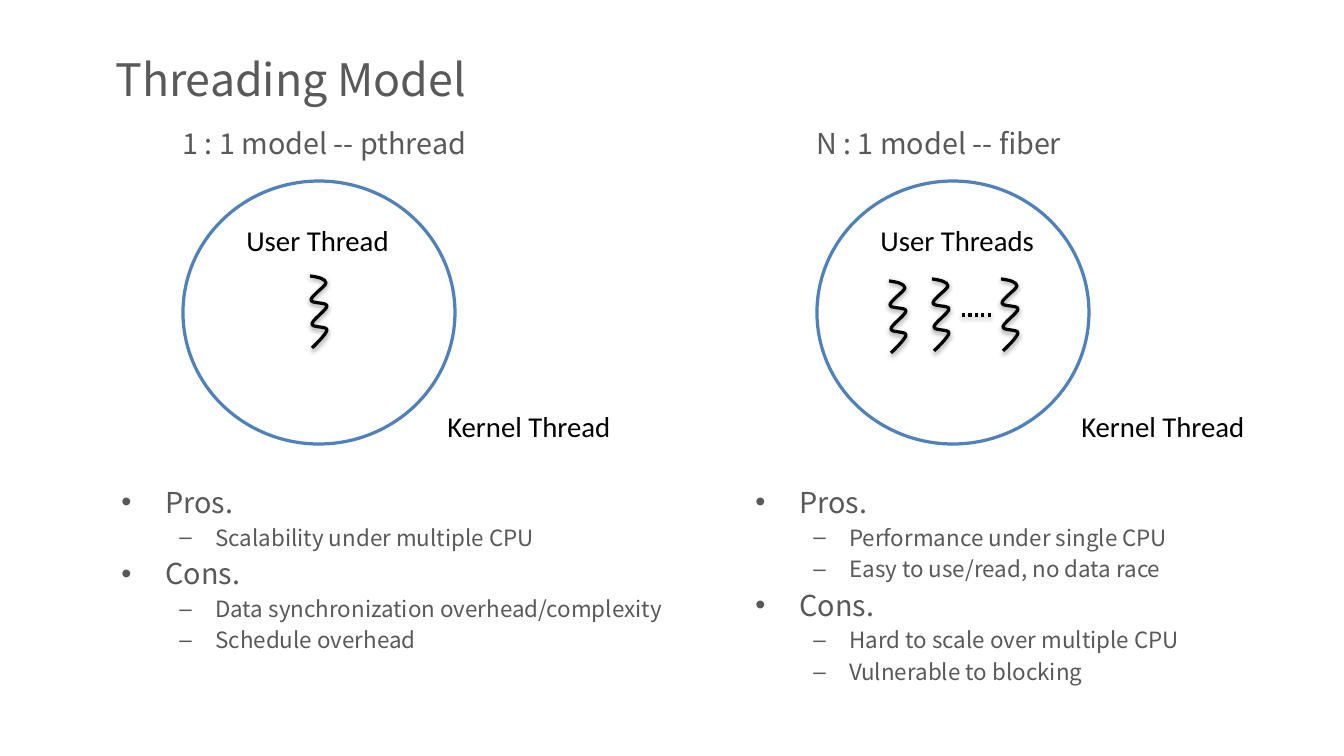
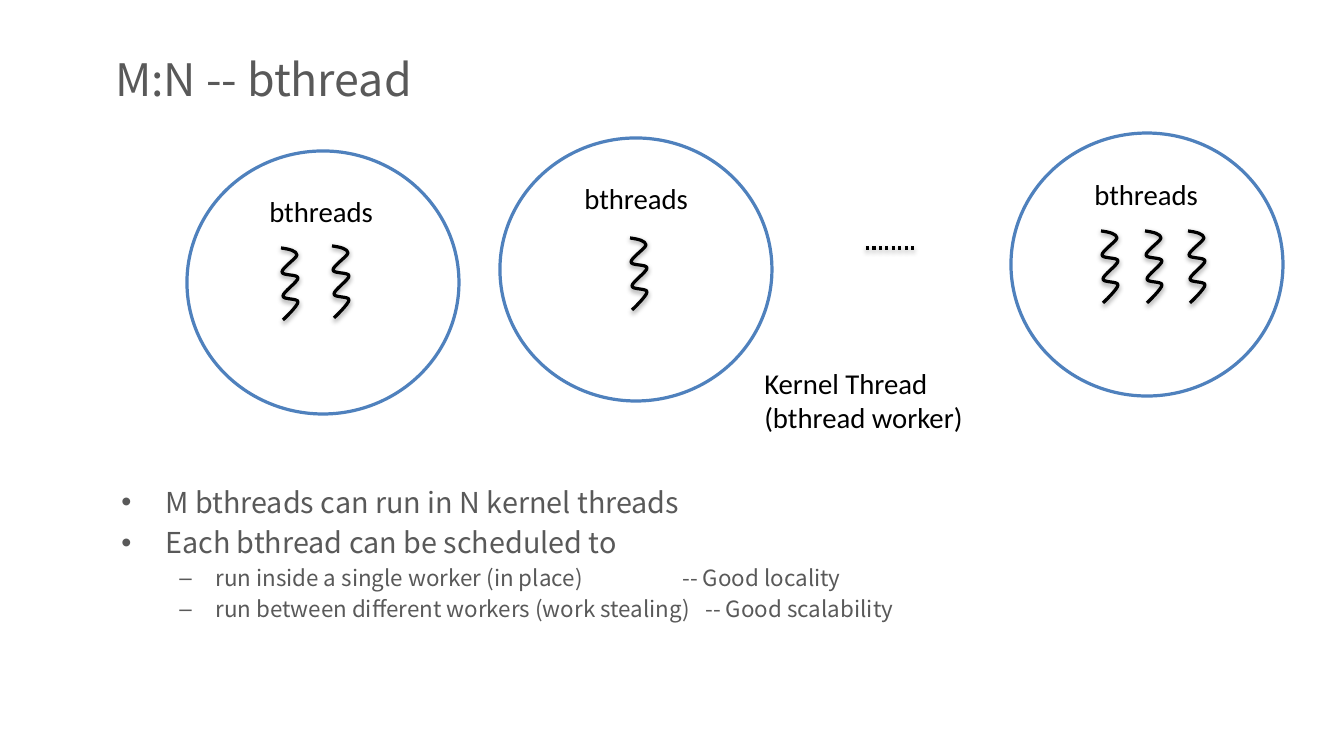
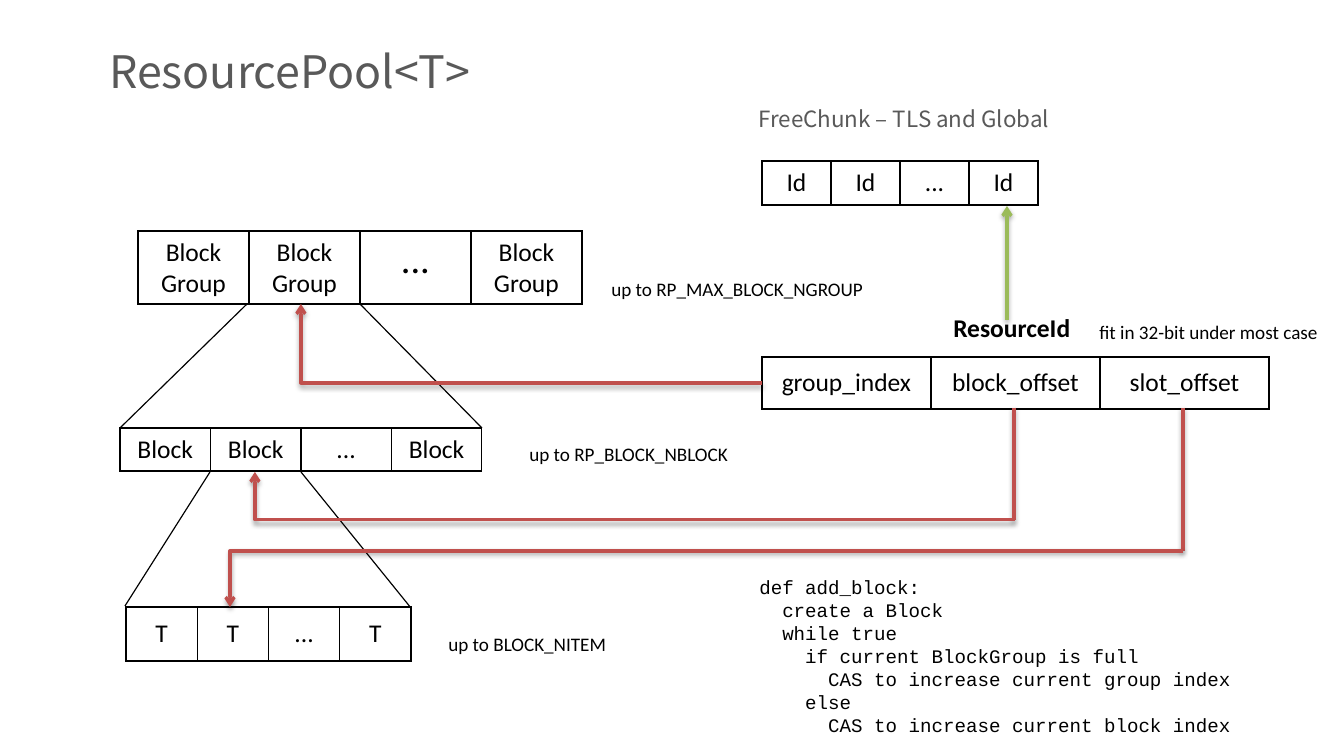
from dataclasses import dataclass
from typing import Any

from lxml.etree import SubElement as Sub
from pptx import Presentation
from pptx.dml.color import RGBColor as Rgb
from pptx.enum.dml import MSO_LINE as Dash
from pptx.enum.shapes import MSO_CONNECTOR as Link, MSO_SHAPE as Form
from pptx.enum.text import MSO_ANCHOR as Anchor, PP_ALIGN as Align
from pptx.oxml.ns import qn
from pptx.util import Pt

SCALE = 914400 / 115
WIDE, HIGH = 1344, 756

COLORS = {
    "ink": "000000", "gray": "595959", "paper": "FFFFFF",
    "blue": "4F81BD", "red": "C0504D", "green": "9BBB59",
}
SANS, PLAIN, MONO = "Noto Sans CJK SC", "Calibri", "Courier New"
STYLES: dict[str, tuple[str, dict[str, Any]]] = {
    "title": ("gray", {"name": SANS, "size": Pt(28)}),
    "head": ("gray", {"name": SANS, "size": Pt(18)}),
    "sub": ("gray", {"name": SANS, "size": Pt(14)}),
    "label": ("ink", {"name": PLAIN, "size": Pt(18)}),
    "cell": ("ink", {"name": PLAIN, "size": Pt(16), "bold": False}),
    "dots": ("ink", {"name": PLAIN, "size": Pt(24), "bold": False}),
    "key": ("ink", {"name": PLAIN, "size": Pt(16), "bold": True}),
    "note": ("ink", {"name": PLAIN, "size": Pt(12)}),
    "code": ("ink", {"name": MONO, "size": Pt(12)}),
}
CURVES = [
    ((8, 1), (16, 3), (16, 7)),
    ((16, 10), (1, 20), (1, 24)),
    ((1, 28), (17, 26), (17, 30)),
    ((17, 34), (2, 44), (2, 48)),
    ((2, 52), (17, 50), (17, 54)),
    ((17, 58), (2, 72), (2, 72)),
]


@dataclass
class Box:
    x: int
    y: int
    w: int
    h: int
    text: str
    style: str
    wrap: bool = True


@dataclass
class Item:
    text: str
    level: int = 0
    tab: int = 0


@dataclass
class Ring:
    x: int
    y: int
    label: Box
    threads: list[tuple[int, int]]


@dataclass
class Model:
    left: int
    name: Box
    ring: Ring
    items: list[Item]


@dataclass
class Grid:
    x: int
    y: int
    w: int
    h: int
    cells: list[str]
    anchor: Any = Anchor.MIDDLE


@dataclass
class Line:
    x: int
    y: int
    to_x: int
    to_y: int
    color: str = "red"
    width: float = 2
    bent: bool = False
    arrow: bool = False
    shade: bool = True
    dotted: bool = False


def px(size: float) -> int:
    return round(size * SCALE)


def rgb(name: str) -> Rgb:
    return Rgb.from_string(COLORS[name])


def put(target: Any, values: dict[str, Any]) -> None:
    for key, value in values.items():
        setattr(target, key, value)


def write(para: Any, text: str, style: str) -> None:
    run = para.add_run()
    run.text = text
    color, values = STYLES[style]
    put(run.font, values)
    run.font.color.rgb = rgb(color)


def fill_frame(frame: Any, text: str, style: str, align: Any = Align.LEFT) -> None:
    for index, line in enumerate(text.split("\n")):
        para = frame.add_paragraph() if index else frame.paragraphs[0]
        para.alignment = align
        write(para, line, style)


def add_text(slide: Any, box: Box) -> None:
    shape = slide.shapes.add_textbox(px(box.x), px(box.y), px(box.w), px(box.h))
    shape.text_frame.word_wrap = box.wrap
    fill_frame(shape.text_frame, box.text, box.style)


def add_list(slide: Any, x: int, w: int, items: list[Item]) -> None:
    frame = slide.shapes.add_textbox(px(x), px(479), px(w), px(201)).text_frame
    frame.word_wrap = True
    for index, item in enumerate(items):
        para = frame.add_paragraph() if index else frame.paragraphs[0]
        left, hang, mark, gap, style = (
            (94, 36, "–", 2.8, "sub") if item.level else (44, 44, "•", 3.6, "head"))
        para.level = item.level
        props = para._p.get_or_add_pPr()
        props.set("marL", str(px(left)))
        props.set("indent", str(-px(hang)))
        Sub(props, qn("a:buFont"), typeface="Arial")
        Sub(props, qn("a:buChar"), char=mark)
        if item.tab:
            tabs = Sub(props, qn("a:tabLst"))
            Sub(tabs, qn("a:tab"), pos=str(px(item.tab)), algn="l")
        if index:
            para.space_before = Pt(gap)
        write(para, item.text, style)


def stroke(shape: Any, color: str, width: float, shade: bool) -> None:
    shape.line.color.rgb = rgb(color)
    shape.line.width = Pt(width)
    effect = Sub(shape.element.spPr, qn("a:effectLst"))
    if shade:
        outer = Sub(effect, qn("a:outerShdw"), blurRad="40000", dist="20000",
                    dir="5400000", rotWithShape="0")
        tint = Sub(outer, qn("a:srgbClr"), val=COLORS["ink"])
        Sub(tint, qn("a:alpha"), val="38000")


def add_line(slide: Any, line: Line) -> None:
    kind = Link.ELBOW if line.bent else Link.STRAIGHT
    shape = slide.shapes.add_connector(
        kind, px(line.x), px(line.y), px(line.to_x), px(line.to_y))
    stroke(shape, line.color, line.width, line.shade)
    if line.dotted:
        shape.line.dash_style = Dash.ROUND_DOT
    if line.arrow:
        Sub(shape.line._get_or_add_ln(), qn("a:tailEnd"), type="arrow")
    if line.bent:
        guides = shape.element.spPr.find(qn("a:prstGeom")).find(qn("a:avLst"))
        Sub(guides, qn("a:gd"), name="adj1", fmla="val 100000")


def add_thread(slide: Any, x: int, y: int) -> None:
    pen = slide.shapes.build_freeform(px(x), px(y), 1.0)
    pen.add_line_segments(
        [(px(x + end[0]), px(y + end[1])) for _, _, end in CURVES], close=False)
    shape = pen.convert_to_shape()
    parts = list(shape.element.spPr.iter(qn("a:lnTo")))
    for part, curve in zip(parts, CURVES):
        bend = part.getparent().makeelement(qn("a:cubicBezTo"))
        for dx, dy in curve:
            Sub(bend, qn("a:pt"), x=str(px(dx)), y=str(px(dy)))
        part.getparent().replace(part, bend)
    shape.fill.background()
    stroke(shape, "ink", 2, True)


def add_ring(slide: Any, ring: Ring) -> None:
    shape = slide.shapes.add_shape(Form.OVAL, px(ring.x), px(ring.y), px(272), px(263))
    shape.fill.solid()
    shape.fill.fore_color.rgb = rgb("paper")
    stroke(shape, "blue", 2, False)
    add_text(slide, ring.label)
    for x, y in ring.threads:
        add_thread(slide, x, y)


def add_grid(slide: Any, grid: Grid) -> None:
    count = len(grid.cells)
    table = slide.shapes.add_table(
        1, count, px(grid.x), px(grid.y), px(grid.w), px(grid.h)).table
    put(table, {"first_row": False, "horz_banding": False})
    table.rows[0].height = px(grid.h)
    for index, text in enumerate(grid.cells):
        table.columns[index].width = px(grid.w / count)
        cell = table.cell(0, index)
        cell.vertical_anchor = grid.anchor
        big = text == "..." and grid.anchor == Anchor.TOP
        fill_frame(cell.text_frame, text, "dots" if big else "cell", Align.CENTER)
        props = cell._tc.get_or_add_tcPr()
        for side in ("lnL", "lnR", "lnT", "lnB"):
            edge = Sub(props, qn(f"a:{side}"), w=str(Pt(1)))
            Sub(Sub(edge, qn("a:solidFill")), qn("a:srgbClr"), val=COLORS["ink"])
        cell.fill.background()


def add_page(deck: Any, title: str, x: int = 104, y: int = 46) -> Any:
    slide = deck.slides.add_slide(deck.slide_layouts[6])
    add_text(slide, Box(x, y, 1166, 66, title, "title"))
    return slide


def name_box(x: int, y: int, w: int, text: str) -> Box:
    return Box(x, y, w, 46, text, "label", False)


def draw_models(deck: Any) -> None:
    slide = add_page(deck, "Threading Model")
    models = [
        Model(110, Box(171, 120, 330, 46, "1 : 1 model -- pthread", "head", False),
              Ring(183, 181, name_box(235, 217, 167, "User Thread"), [(310, 276)]),
              [Item("Pros."), Item("Scalability under multiple CPU", 1),
               Item("Cons."), Item("Data synchronization overhead/complexity", 1),
               Item("Schedule overhead", 1)]),
        Model(744, Box(805, 120, 292, 46, "N : 1 model -- fiber", "head", False),
              Ring(817, 181, name_box(869, 217, 178, "User Threads"),
                   [(889, 281), (932, 279), (1001, 279)]),
              [Item("Pros."), Item("Performance under single CPU", 1),
               Item("Easy to use/read, no data race", 1),
               Item("Cons."), Item("Hard to scale over multiple CPU", 1),
               Item("Vulnerable to blocking", 1)]),
    ]
    for model in models:
        add_list(slide, model.left, 580, model.items)
        add_ring(slide, model.ring)
        add_text(slide, name_box(model.ring.x + 253, 403, 189, "Kernel Thread"))
        add_text(slide, model.name)
    add_line(slide, Line(962, 315, 992, 315, "ink", dotted=True))


def draw_workers(deck: Any) -> None:
    slide = add_page(deck, "M:N -- bthread")
    add_list(slide, 110, 1204, [
        Item("M bthreads can run in N kernel threads"),
        Item("Each bthread can be scheduled to"),
        Item("run inside a single worker (in place)\t-- Good locality", 1, 561),
        Item("run between different workers (work stealing)\t-- Good scalability", 1, 584),
    ])
    rings = [
        Ring(187, 151, name_box(258, 188, 128, "bthreads"), [(281, 248), (332, 246)]),
        Ring(500, 138, name_box(573, 175, 128, "bthreads"), [(630, 238)]),
        Ring(1011, 133, name_box(1083, 171, 128, "bthreads"),
             [(1101, 231), (1145, 231), (1188, 231)]),
    ]
    for ring in rings:
        add_ring(slide, ring)
    add_text(slide, Box(753, 360, 224, 82, "Kernel Thread\n(bthread worker)", "label", False))
    add_line(slide, Line(866, 248, 914, 248, "ink", dotted=True))


def draw_pool(deck: Any) -> None:
    slide = add_page(deck, "ResourcePool<T>", 98, 38)
    group = "Block\nGroup"
    grids = [
        Grid(138, 231, 444, 73, [group, group, "...", group], Anchor.TOP),
        Grid(120, 428, 362, 43, ["Block", "Block", "...", "Block"]),
        Grid(126, 607, 285, 54, ["T", "T", "...", "T"]),
        Grid(762, 357, 507, 52, ["group_index", "block_offset", "slot_offset"]),
        Grid(762, 161, 276, 44, ["Id", "Id", "...", "Id"]),
    ]
    for grid in grids:
        add_grid(slide, grid)
    code = "\n".join([
        "def add_block:",
        "  create a Block",
        "  while true",
        "    if current BlockGroup is full",
        "      CAS to increase current group index",
        "    else",
        "      CAS to increase current block index",
    ])
    boxes = [
        Box(747, 99, 361, 55, "FreeChunk – TLS and Global", "sub"),
        Box(600, 272, 371, 35, "up to RP_MAX_BLOCK_NGROUP", "note"),
        Box(518, 437, 317, 35, "up to RP_BLOCK_NBLOCK", "note"),
        Box(437, 627, 222, 35, "up to BLOCK_NITEM", "note"),
        Box(942, 306, 232, 43, "ResourceId", "key"),
        Box(1088, 315, 256, 35, "fit in 32-bit under most case", "note"),
        Box(748, 570, 596, 186, code, "code"),
    ]
    for box in boxes:
        add_text(slide, box)
    for ends in ((247, 304, 120, 428), (360, 304, 482, 428),
                 (210, 472, 125, 606), (301, 472, 411, 608)):
        add_line(slide, Line(*ends, "ink", 0.75, shade=False))
    for ends in ((1014, 408, 1014, 520), (1183, 408, 1183, 551)):
        add_line(slide, Line(*ends))
    for ends in ((762, 383, 301, 304), (1015, 520, 255, 472), (1183, 551, 230, 607)):
        add_line(slide, Line(*ends, bent=True, arrow=True))
    add_line(slide, Line(1007, 320, 1007, 206, "green", arrow=True))


def main() -> None:
    deck = Presentation()
    put(deck, {"slide_width": px(WIDE), "slide_height": px(HIGH)})
    for draw in (draw_models, draw_workers, draw_pool):
        draw(deck)
    deck.save("out.pptx")


if __name__ == "__main__":
    main()
